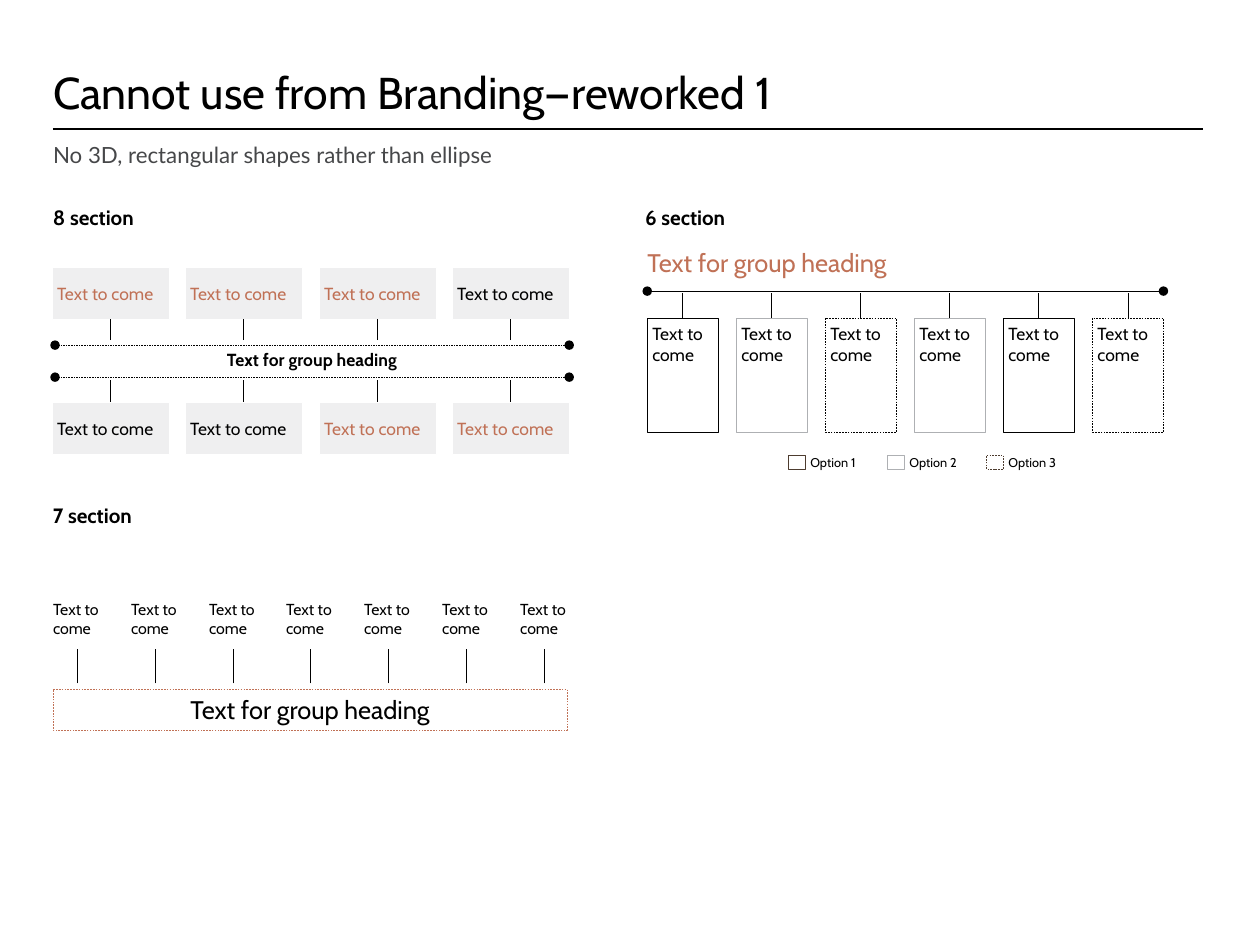
from pptx import Presentation
from pptx.dml.color import RGBColor
from pptx.enum.dml import MSO_LINE as DASH
from pptx.enum.shapes import MSO_CONNECTOR as CONN, MSO_SHAPE as SHAPE
from pptx.enum.text import MSO_ANCHOR as ANCHOR, PP_ALIGN as ALIGN
from pptx.oxml.ns import qn
from pptx.util import Inches, Pt
from lxml.etree import SubElement

BLACK, RUST, GRAY, BROWN = "000000", "C07156", "AEB0B3", "4D3C2F"
PALE, WHITE, SLATE = "EFEFF0", "FFFFFF", "464749"
ITEM, GROUP = "Text to come", "Text for group heading"
SOLID, LIGHT, DASHED = (BLACK, 0.5), (GRAY, 0.25), (BLACK, 0.25, DASH.DASH)
DOTTED = (BLACK, 0.5, DASH.ROUND_DOT)


def px(n):
    return round(n * 914400 / 114.5)


def color(value):
    return RGBColor.from_string(value)


def spread(first, last, count):
    return [round(first + i * (last - first) / (count - 1)) for i in range(count)]


class Deck:
    font = "Cabin"

    def __init__(self, width, height):
        self.prs = Presentation()
        self.prs.slide_width, self.prs.slide_height = Inches(width), Inches(height)

    def add_slide(self):
        self.s = self.prs.slides.add_slide(self.prs.slide_layouts[6])

    def stroke(self, line, ink, width, dash=None):
        line.color.rgb = color(ink)
        line.width = Pt(width)
        if dash:
            line.dash_style = dash

    def set_text(self, sp, text, size, ink=BLACK, bold=False, font=None,
                 anchor=ANCHOR.MIDDLE, align=ALIGN.LEFT, inset=(0, 0, 0, 0), leading=None):
        tf = sp.text_frame
        tf.word_wrap = True
        tf.vertical_anchor = anchor
        tf.margin_left, tf.margin_top, tf.margin_right, tf.margin_bottom = map(px, inset)
        tf.text = text
        p = tf.paragraphs[0]
        p.alignment = align
        if leading:
            p.line_spacing = Pt(leading)
        f = p.runs[0].font
        f.name, f.size, f.bold = font or self.font, Pt(size), bold
        f.color.rgb = color(ink)

    def text(self, x, y, w, h, text, size, **style):
        sp = self.s.shapes.add_textbox(*map(px, (x, y, w, h)))
        self.set_text(sp, text, size, **style)

    def box(self, x, y, w, h, border, fill=None):
        sp = self.s.shapes.add_shape(SHAPE.RECTANGLE, *map(px, (x, y, w, h)))
        sp.shadow.inherit = False
        if fill:
            sp.fill.solid()
            sp.fill.fore_color.rgb = color(fill)
        else:
            sp.fill.background()
        self.stroke(sp.line, *border)
        return sp

    def line(self, x1, y1, x2, y2, border=SOLID, dots=False):
        cn = self.s.shapes.add_connector(CONN.STRAIGHT, *map(px, (x1, y1, x2, y2)))
        self.stroke(cn.line, *border)
        if dots:
            ln = cn._element.spPr.find(qn("a:ln"))
            for end in ("a:headEnd", "a:tailEnd"):
                SubElement(ln, qn(end), type="oval")
        SubElement(cn._element.spPr, qn("a:effectLst"))
        return cn

    def stem(self, sp, site, x, y):
        cn = self.line(x, y, x, y)
        cn.end_connect(sp, site)
        cn.begin_x = sp.left + sp.width // 2


def header(deck):
    deck.line(53, 129, 1203, 129, (BLACK, 0.75))
    deck.text(53, 0, 1151, 118, "Cannot use from Branding—reworked 1", 28,
              anchor=ANCHOR.BOTTOM, leading=32)
    deck.text(53, 141, 1151, 34, "No 3D, rectangular shapes rather than ellipse", 14,
              ink=SLATE, font="Lato", anchor=ANCHOR.TOP)
    for x, y, heading in ((53, 205, "8 section"), (645, 205, "6 section"), (53, 503, "7 section")):
        deck.text(x, y, 556, 45, heading, 13, bold=True, anchor=ANCHOR.TOP)


def eight_section(deck):
    rows = ((267, 2, 340, (RUST, RUST, RUST, BLACK)),
            (402, 0, 380, (BLACK, BLACK, RUST, RUST)))
    for y, site, stem_y, inks in rows:
        for x, ink in zip(spread(52, 452, 4), inks):
            card = deck.box(x, y, 117, 52, (WHITE, 0.5), PALE)
            deck.set_text(card, ITEM, 11, ink=ink, inset=(5, 5, 5, 5))
            deck.stem(card, site, x + 58, stem_y)
    for y in (345, 377):
        deck.line(569, y, 55, y, DOTTED, dots=True)
    deck.text(55, 346, 514, 26, GROUP, 11, bold=True, align=ALIGN.CENTER)


def seven_section(deck):
    for x in spread(53, 520, 7):
        deck.text(x, 589, 48, 58, ITEM, 10)
        deck.line(x + 24, 683, x + 24, 649)
    frame = deck.box(53, 689, 514, 41, (RUST, 0.25, DASH.DASH))
    deck.set_text(frame, GROUP, 16, align=ALIGN.CENTER)


def six_section(deck):
    deck.text(647, 248, 498, 29, GROUP, 16, ink=RUST)
    deck.line(1163, 291, 647, 291, dots=True)
    borders = (SOLID, LIGHT, DASHED, LIGHT, SOLID, DASHED)
    for x, border in zip(spread(647, 1092, 6), borders):
        card = deck.box(x, 318, 71, 114, border)
        deck.set_text(card, ITEM, 11, anchor=ANCHOR.TOP, inset=(5, 5, 5, 5))
        deck.stem(card, 0, x + 35, 293)
    keys = ((BROWN, 0.5), LIGHT, (BROWN, 0.25, DASH.DASH))
    for i, (x, border) in enumerate(zip(spread(788, 986, 3), keys), 1):
        deck.box(x, 455, 17, 14, border)
        deck.text(x + 13, 455, 77, 14, f"Option {i}", 8, inset=(9, 0, 0, 0))


def main():
    deck = Deck(11, 8.25)
    deck.add_slide()
    header(deck)
    eight_section(deck)
    seven_section(deck)
    six_section(deck)
    deck.prs.save("out.pptx")


if __name__ == "__main__":
    main()
